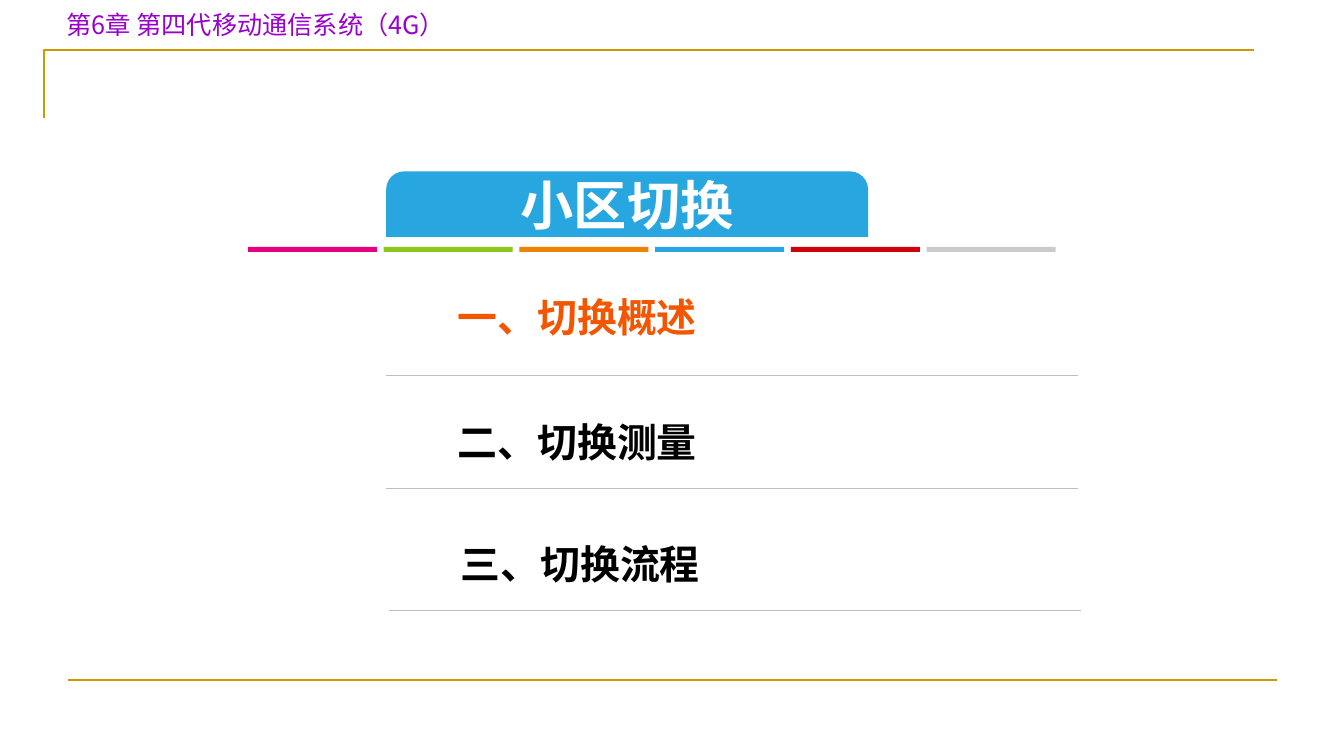
import pptx
import pptx.dml.color
import pptx.enum.shapes
import pptx.enum.text
import pptx.oxml
import pptx.oxml.ns
import pptx.util

Inches = pptx.util.Inches
Align = pptx.enum.text.PP_ALIGN
Anchor = pptx.enum.text.MSO_ANCHOR
Shape = pptx.enum.shapes.MSO_SHAPE
color = pptx.dml.color.RGBColor.from_string

theme = {
    "gold": "CC9900",
    "purple": "9900CC",
    "blue": "28A6E0",
    "white": "FFFFFF",
    "orange": "F25600",
    "black": "000000",
    "rule": "BFBFBF",
    "strips": ["E4007E", "8EC61D", "EF8200", "28A6E0", "CF010E", "CBCBCB"],
    "header_font": "Noto Sans CJK JP",
    "body_font": "Noto Sans CJK SC",
    "header_size": 18,
    "title_size": 38,
    "item_size": 28.5,
}


def write(box, text, font_name, size, ink, bold, align, frame_format):
    frame = box.text_frame
    for name, value in frame_format.items():
        setattr(frame, name, value)
    para = frame.paragraphs[0]
    para.alignment = align
    span = para.add_run()
    span.text = text
    font_format = {"name": font_name, "size": pptx.util.Pt(size), "bold": bold}
    for name, value in font_format.items():
        setattr(span.font, name, value)
    span.font.color.rgb = color(ink)
    east_asian = pptx.oxml.ns.qn("a:ea")
    span.font._element.makeelement(east_asian)
    latin = span.font._element.find(pptx.oxml.ns.qn("a:latin"))
    latin.addnext(latin.makeelement(east_asian, {"typeface": font_name}))


def draw_line(left, top, right, ink, weight):
    line = page.shapes.add_connector(
        pptx.enum.shapes.MSO_CONNECTOR.STRAIGHT,
        Inches(left), Inches(top), Inches(right), Inches(top),
    )
    line.line.color.rgb = color(ink)
    line.line.width = pptx.util.Pt(weight)
    properties = line._element.spPr
    properties.append(properties.makeelement(pptx.oxml.ns.qn("a:effectLst")))


deck = pptx.Presentation()
deck.slide_width = Inches(13.33)
deck.slide_height = Inches(7.5)
page = deck.slides.add_slide(deck.slide_layouts[5])

builder = page.shapes.build_freeform(Inches(0.44), Inches(1.17))
builder.add_line_segments(
    [(Inches(0.44), Inches(0.5)), (Inches(12.44), Inches(0.5))], close=False
)
corner = builder.convert_to_shape()
corner.shadow.inherit = False
corner.fill.background()
corner.line.color.rgb = color(theme["gold"])
corner.line.width = pptx.util.Pt(1.5)
draw_line(0.67, 6.75, 12.67, theme["gold"], 1.5)

text_format = {
    "word_wrap": True,
    "margin_top": Inches(0.01),
    "vertical_anchor": Anchor.TOP,
}
header = page.shapes.add_textbox(Inches(0.56), Inches(0.08), Inches(5.78), Inches(0.4))
write(header, "第6章 第四代移动通信系统（4G）", theme["header_font"],
      theme["header_size"], theme["purple"], False, Align.LEFT, text_format)

tab_place = [Inches(3.83), Inches(1.7), Inches(4.78), Inches(0.65)]
tab = page.shapes.add_shape(Shape.ROUND_2_SAME_RECTANGLE, *tab_place)
tab.adjustments[0] = 0.276
tab.adjustments[1] = 0
tab.shadow.inherit = False
tab.fill.solid()
tab.fill.fore_color.rgb = color(theme["blue"])
tab.line.fill.background()

title = page.shapes.title
title.element.getparent().append(title.element)
for name, value in zip(("left", "top", "width", "height"), tab_place):
    setattr(title, name, value)
write(title, "小区切换", theme["body_font"], theme["title_size"], theme["white"],
      True, Align.CENTER, {
          "auto_size": pptx.enum.text.MSO_AUTO_SIZE.NONE,
          "vertical_anchor": Anchor.MIDDLE,
          "margin_top": 0,
          "margin_bottom": 0,
      })

strip_pitch = (9.19 - 2.46) / 5
for index, ink in enumerate(theme["strips"]):
    strip = page.shapes.add_shape(
        Shape.RECTANGLE, Inches(2.46 + index * strip_pitch), Inches(2.45),
        Inches(1.28), Inches(0.05),
    )
    strip.shadow.inherit = False
    strip.fill.solid()
    strip.fill.fore_color.rgb = color(ink)
    strip.line.fill.background()

items = [
    ("一、切换概述", theme["orange"], 3.83, 2.89, 2.88, 3.73),
    ("二、切换测量", theme["black"], 3.83, 4.13, 3.45, 4.85),
    ("三、切换流程", theme["black"], 3.86, 5.34, 1.15, 6.06),
]
for text, ink, left, top, height, rule_top in items:
    draw_line(left, rule_top, left + 6.86, theme["rule"], 0.75)
    item = page.shapes.add_textbox(
        Inches(left + 0.54), Inches(top), Inches(6.33), Inches(height)
    )
    write(item, text, theme["body_font"], theme["item_size"], ink, True,
          Align.LEFT, {**text_format, "margin_left": Inches(0.17)})

deck.save("out.pptx")
